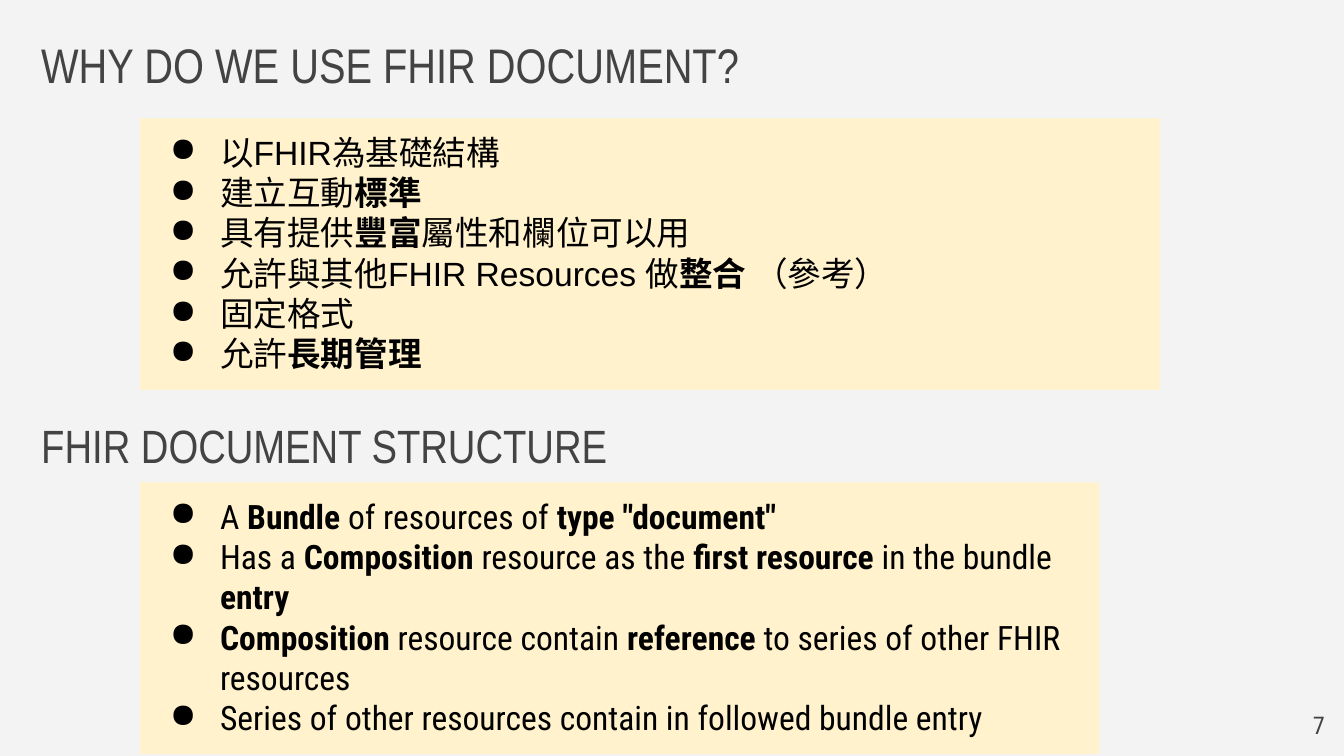
from lxml import etree
from pptx import Presentation
from pptx.dml.color import RGBColor
from pptx.enum.shapes import MSO_SHAPE
from pptx.enum.text import MSO_ANCHOR, MSO_AUTO_SIZE, PP_ALIGN
from pptx.oxml.ns import qn
from pptx.util import Cm, Pt

RECT = MSO_SHAPE.RECTANGLE
TOP, MIDDLE = MSO_ANCHOR.TOP, MSO_ANCHOR.MIDDLE
GROW = MSO_AUTO_SIZE.SHAPE_TO_FIT_TEXT
LEFT, RIGHT = PP_ALIGN.LEFT, PP_ALIGN.RIGHT

BACKGROUND = RGBColor(0xF3, 0xF3, 0xF3)
CREAM = RGBColor(0xFF, 0xF2, 0xCC)
GRAY = RGBColor(0x43, 0x43, 0x43)
BLACK = RGBColor(0, 0, 0)

INSET = Cm(0.25)
BOLD_MARK = "*"

REASONS = [
    "以FHIR為基礎結構",
    "建立互動*標準*",
    "具有提供*豐富*屬性和欄位可以用",
    "允許與其他FHIR Resources 做*整合* （參考）",
    "固定格式",
    "允許*長期管理*",
]
STRUCTURE = [
    "A *Bundle *of resources of *type \"document\"*",
    "Has a *Composition *resource as the* first resource* in the bundle *entry*",
    "*Composition *resource contain *reference *to series of other FHIR resources",
    "Series of other resources contain in followed bundle entry",
]


def format_frame(tf, anchor, inset_y=INSET):
    values = {
        "word_wrap": True,
        "vertical_anchor": anchor,
        "margin_left": INSET,
        "margin_right": INSET,
        "margin_top": inset_y,
        "margin_bottom": inset_y,
    }
    for name, value in values.items():
        setattr(tf, name, value)


def add_run(p, text, font, size, color, bold=False):
    r = p.add_run()
    r.text = text
    for name, value in {"name": font, "size": Pt(size), "bold": bold}.items():
        setattr(r.font, name, value)
    r.font.color.rgb = color


def add_label(s, box, text, font, size, anchor=TOP, inset_y=INSET, align=LEFT, spacing=1.0):
    tf = s.shapes.add_textbox(*map(Cm, box)).text_frame
    format_frame(tf, anchor, inset_y)
    p = tf.paragraphs[0]
    p.alignment = align
    p.line_spacing = spacing
    add_run(p, text, font, size, GRAY)


def add_heading(s, top, text, size):
    add_label(s, (0.53, top, 17.37, 2.18), text, "Arial Narrow", size,
              anchor=MIDDLE, inset_y=Cm(0.13), spacing=0.9)


def set_bullet(p, color):
    pPr = p._p.get_or_add_pPr()
    pPr.set("marL", str(Cm(1.27)))
    pPr.set("indent", str(Cm(-0.95)))
    buClr = etree.SubElement(pPr, qn("a:buClr"))
    etree.SubElement(buClr, qn("a:srgbClr"), val=str(color))
    etree.SubElement(pPr, qn("a:buChar"), char="●")


def add_bullet_panel(s, top, width, items, font):
    sp = s.shapes.add_shape(RECT, Cm(2.64), Cm(top), Cm(width), Cm(5.13))
    sp.shadow.inherit = False
    sp.fill.solid()
    sp.fill.fore_color.rgb = CREAM
    sp.line.fill.background()
    tf = sp.text_frame
    format_frame(tf, TOP)
    tf.auto_size = GROW
    for i, item in enumerate(items):
        p = tf.add_paragraph() if i else tf.paragraphs[0]
        p.alignment = LEFT
        set_bullet(p, BLACK)
        for j, part in enumerate(item.split(BOLD_MARK)):
            if part:
                add_run(p, part, font, 18, BLACK, bold=j % 2 == 1)


def main():
    prs = Presentation()
    prs.slide_width, prs.slide_height = Cm(25.4), Cm(14.29)
    s = prs.slides.add_slide(prs.slide_layouts[6])
    s.background.fill.solid()
    s.background.fill.fore_color.rgb = BACKGROUND

    add_heading(s, 0.2, "WHY DO WE USE FHIR DOCUMENT?", 26)
    add_bullet_panel(s, 2.24, 19.28, REASONS, "Arial")
    add_heading(s, 7.39, "FHIR DOCUMENT STRUCTURE", 25)
    add_bullet_panel(s, 9.12, 18.14, STRUCTURE, "Roboto Condensed")
    add_label(s, (23.77, 13.18, 1.52, 1.09), "7", "Roboto Condensed", 13, align=RIGHT)

    prs.save("out.pptx")


if __name__ == "__main__":
    main()
